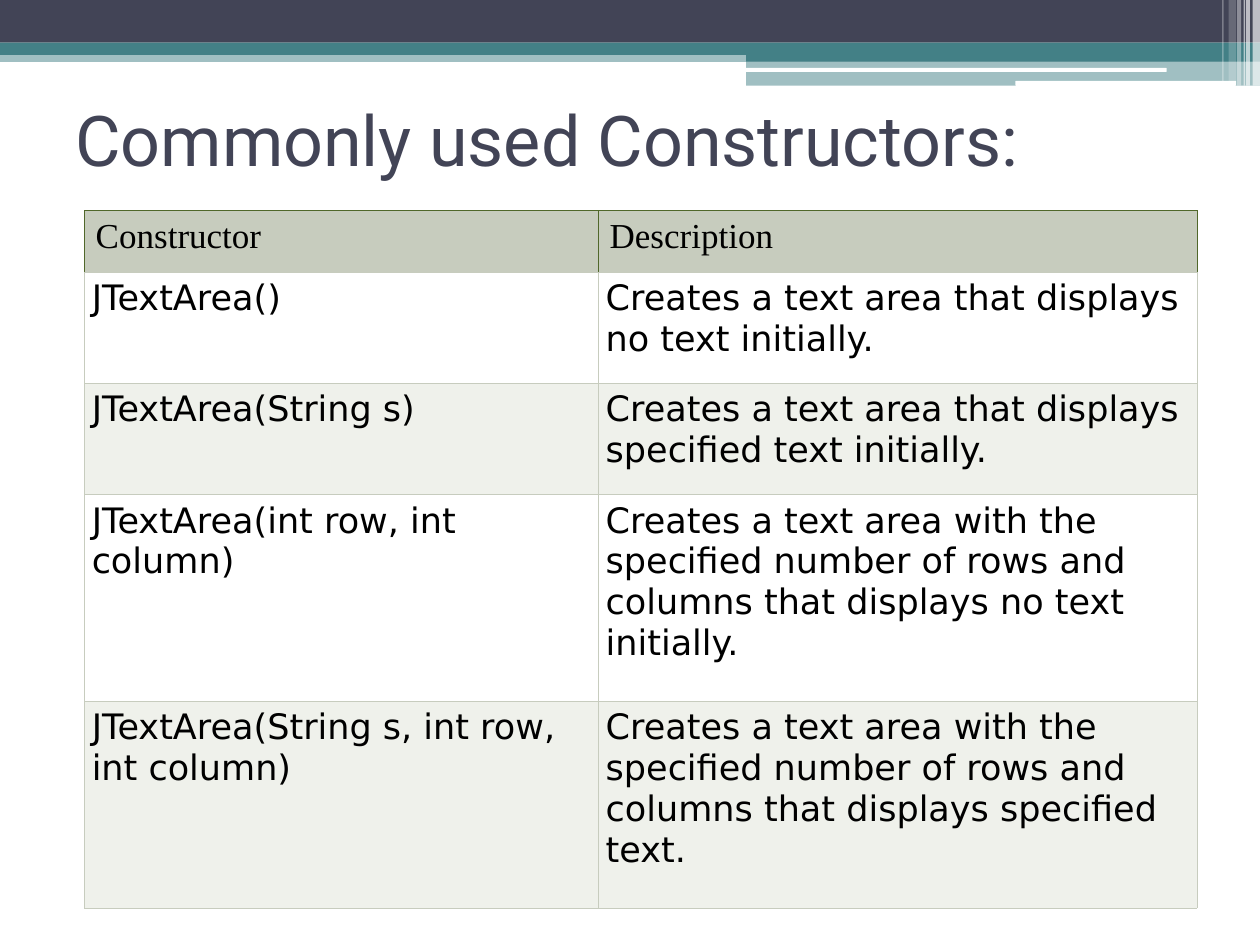
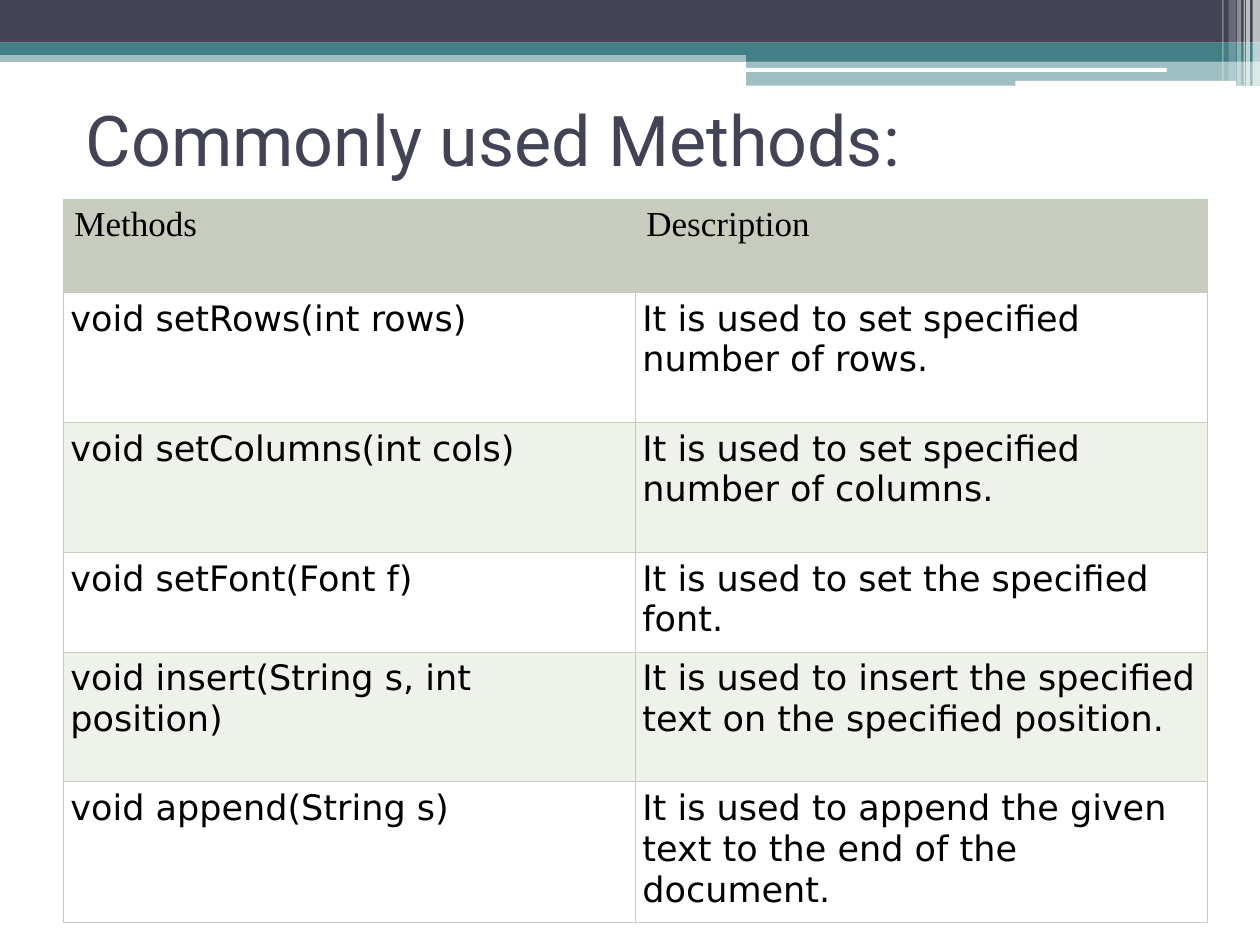
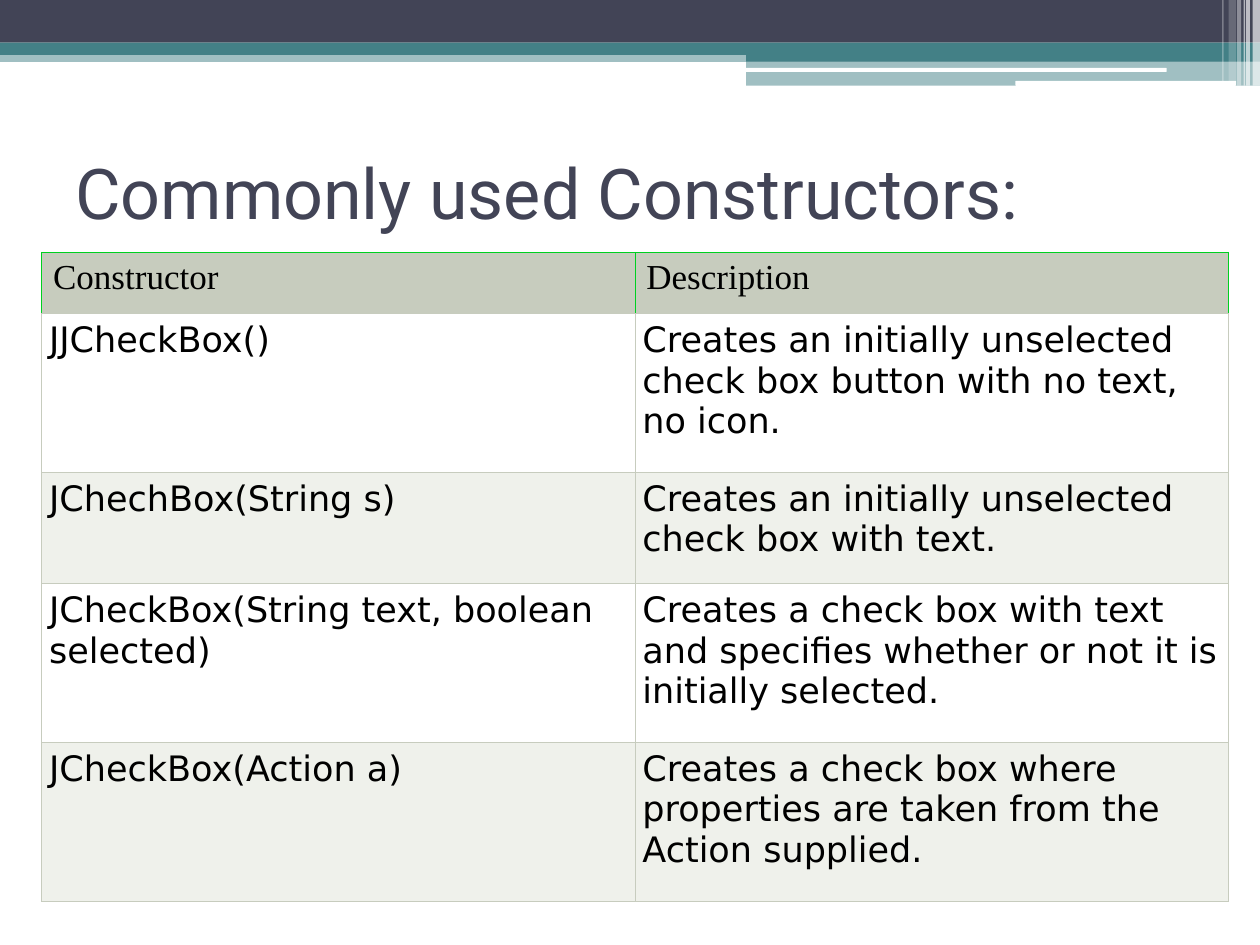
from dataclasses import dataclass

import pptx
import pptx.dml.color
import pptx.enum.shapes
import pptx.enum.text
import pptx.oxml
import pptx.oxml.ns
import pptx.util
from lxml import etree

Cm, Pt = pptx.util.Cm, pptx.util.Pt
RGB = pptx.dml.color.RGBColor.from_string
RECT = pptx.enum.shapes.MSO_SHAPE.RECTANGLE
ROUND = pptx.enum.shapes.MSO_SHAPE.ROUNDED_RECTANGLE


@dataclass(frozen=True)
class Theme:
    navy: str = "424456"
    teal: str = "438086"
    white: str = "FFFFFF"
    black: str = "000000"
    sage: str = "C7CCBE"
    pale: str = "EFF1EB"
    title_font: str = "Roboto"
    header_font: str = "Times New Roman"
    body_font: str = "DejaVu Sans"
    title_size: int = 40
    table_size: int = 20
    border: float = 0.34


T = Theme()

# Top bands in cm: shape, left, top, width, height, colour, opacity in percent
BANDS = [
    (RECT, 0, 1.02, 25.4, 0.23, T.teal, 50),
    (RECT, 0, 0, 25.4, 0.86, T.navy, 100),
    (RECT, 0, 0.86, 25.4, 0.25, T.teal, 100),
    (RECT, 15.04, 0.99, 10.36, 0.25, T.teal, 100),
    (RECT, 15.04, 1.22, 10.36, 0.51, T.teal, 50),
    (ROUND, 15.01, 1.37, 8.51, 0.08, T.white, 100),
    (ROUND, 20.47, 1.63, 4.45, 0.1, T.white, 100),
]
# Vertical light strips at the right edge: left, width, height, opacity
STRIPS = [
    (25.25, 0.15, 1.73, 65),
    (25.12, 0.08, 1.73, 65),
    (25.07, 0.03, 1.73, 60),
    (24.94, 0.08, 1.73, 40),
    (24.77, 0.15, 1.63, 20),
    (24.64, 0.03, 1.63, 30),
]
BANDS += [(RECT, x, 0, w, h, T.white, a) for x, w, h, a in STRIPS]


def write(tf, text, font, size, color):
    """Put one formatted paragraph into a text frame."""
    p = tf.paragraphs[0]
    r = p.add_run()
    r.text = text
    r.font.name, r.font.size, r.font.bold = font, Pt(size), False
    r.font.color.rgb = RGB(color)


class Deck:
    def __init__(self):
        self.prs = pptx.Presentation()
        self.prs.slide_width, self.prs.slide_height = Cm(25.4), Cm(19.05)
        self.s = None

    def slide(self):
        self.s = self.prs.slides.add_slide(self.prs.slide_layouts[6])
        for band in BANDS:
            self.band(*band)

    def band(self, kind, x, y, w, h, color, opacity):
        sp = self.s.shapes.add_shape(kind, Cm(x), Cm(y), Cm(w), Cm(h))
        sp.shadow.inherit = False
        sp.line.fill.background()
        sp.fill.solid()
        sp.fill.fore_color.rgb = RGB(color)
        if opacity < 100:
            clr = sp.fill._xPr.find(".//" + pptx.oxml.ns.qn("a:srgbClr"))
            etree.SubElement(clr, pptx.oxml.ns.qn("a:alpha"), val=str(opacity * 1000))

    def title(self, text, x, y):
        tf = self.s.shapes.add_textbox(Cm(x), Cm(y), Cm(22.86), Cm(2)).text_frame
        tf.word_wrap = True
        tf.vertical_anchor = pptx.enum.text.MSO_ANCHOR.TOP
        tf.margin_top = tf.margin_bottom = 0
        write(tf, text, font=T.title_font, size=T.title_size, color=T.navy)

    def borders(self, cell, edge):
        """Draw left, right and top in the edge colour, the bottom in sage."""
        tcPr = cell._tc.get_or_add_tcPr()
        for side, color in zip("LRTB", (edge, edge, edge, T.sage)):
            tcPr.append(pptx.oxml.parse_xml(
                f'<a:ln{side} {pptx.oxml.ns.nsdecls("a")} w="{int(Pt(T.border))}">'
                f'<a:solidFill><a:srgbClr val="{color}"/></a:solidFill></a:ln{side}>'))

    def table(self, x, y, cols, heights, rows, header_edge):
        tbl = self.s.shapes.add_table(len(rows), len(cols), Cm(x), Cm(y),
                                      Cm(sum(cols)), Cm(sum(heights))).table
        tbl.first_row = tbl.horz_banding = False
        for col, w in zip(tbl.columns, cols):
            col.width = Cm(w)
        for i, (row, h, texts) in enumerate(zip(tbl.rows, heights, rows)):
            row.height = Cm(h)
            header = i == 0
            fill = T.sage if header else (T.pale, T.white)[i % 2]
            for cell, text in zip(row.cells, texts):
                cell.margin_left = cell.margin_right = Cm(0.23 if header else 0.15)
                cell.margin_top = cell.margin_bottom = Cm(0.13)
                self.borders(cell, header_edge if header else T.sage)
                cell.fill.solid()
                cell.fill.fore_color.rgb = RGB(fill)
                write(cell.text_frame, text, size=T.table_size, color=T.black,
                      font=T.header_font if header else T.body_font)


def main():
    d = Deck()

    # Text area constructors
    d.slide()
    d.title("Commonly used Constructors:", 1.27, 1.95)
    d.table(1.7, 4.24, [10.36, 12.07], [1.24, 2.24, 2.24, 4.17, 4.17], [
        ("Constructor", "Description"),
        ("JTextArea()", "Creates a text area that displays no text initially."),
        ("JTextArea(String s)",
         "Creates a text area that displays specified text initially."),
        ("JTextArea(int row, int column)",
         "Creates a text area with the specified number of rows and columns "
         "that displays no text initially."),
        ("JTextArea(String s, int row, int column)",
         "Creates a text area with the specified number of rows and columns "
         "that displays specified text."),
    ], header_edge="50672A")

    # Text area methods
    d.slide()
    d.title("Commonly used Methods:", 1.48, 1.95)
    d.table(1.27, 4.01, [11.53] * 2, [1.88, 2.62, 2.62, 2.01, 2.62, 2.84], [
        ("Methods", "Description"),
        ("void setRows(int rows)", "It is used to set specified number of rows."),
        ("void setColumns(int cols)",
         "It is used to set specified number of columns."),
        ("void setFont(Font f)", "It is used to set the specified font."),
        ("void insert(String s, int position)",
         "It is used to insert the specified text on the specified position."),
        ("void append(String s)",
         "It is used to append the given text to the end of the document."),
    ], header_edge="B0DAB4")

    # Check box constructors
    d.slide()
    d.title("Commonly used Constructors:", 1.27, 3.01)
    d.table(0.84, 5.08, [11.96] * 2, [1.24, 3.2, 2.24, 3.2, 3.2], [
        ("Constructor", "Description"),
        ("JJCheckBox()",
         "Creates an initially unselected check box button with no text, no icon."),
        ("JChechBox(String s)",
         "Creates an initially unselected check box with text."),
        ("JCheckBox(String text, boolean selected)",
         "Creates a check box with text and specifies whether or not it is "
         "initially selected."),
        ("JCheckBox(Action a)",
         "Creates a check box where properties are taken from the Action supplied."),
    ], header_edge="00D021")

    d.prs.save("out.pptx")


if __name__ == "__main__":
    main()
